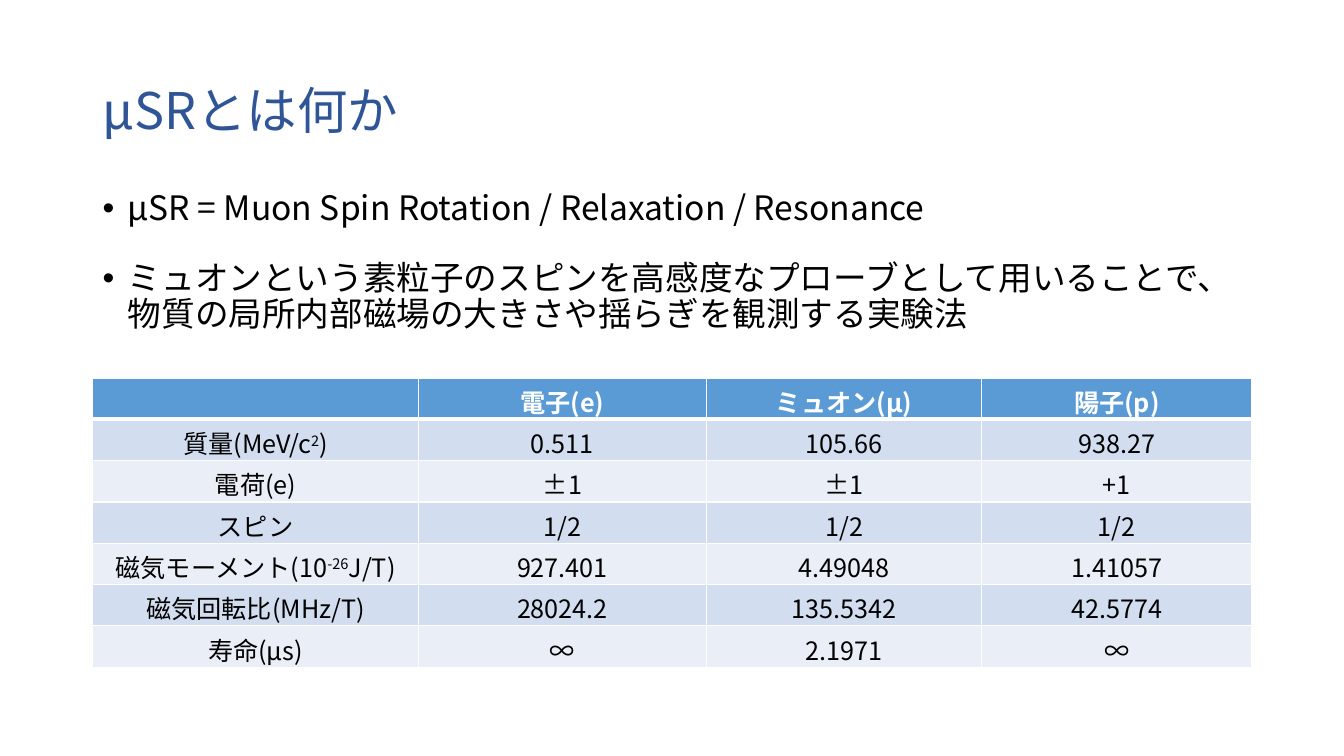
"""Build a slide that explains µSR and compares the electron, muon and proton."""
from lxml.etree import SubElement
from pptx import Presentation
from pptx.dml.color import RGBColor
from pptx.enum.text import MSO_ANCHOR as Anchor, PP_ALIGN as Align
from pptx.oxml import parse_xml
from pptx.oxml.ns import nsdecls, qn
from pptx.util import Inches, Pt

FONT = "Noto Sans CJK JP"
MARGIN, CONTENT_WIDTH = 0.92, 11.5
COLUMN_WIDTHS = [3.23, 2.86, 2.73, 2.68]
ROW_HEIGHT = 0.41


def color(hex_value):
    """Turn a hex string into a colour."""
    return RGBColor.from_string(hex_value)


def add_text(paragraph, text, size, hex_value, bold=False):
    """Add runs to a paragraph; parts between carets are superscript."""
    for index, part in enumerate(text.split("^")):
        run = paragraph.add_run()
        run.text = part
        run.font.size = Pt(size)
        run.font.name = FONT
        run.font.bold = bold
        run.font.color.rgb = color(hex_value)
        properties = run.font._element
        SubElement(properties, qn("a:ea"), typeface=FONT)
        if index % 2:
            properties.set("baseline", "30000")


presentation = Presentation()
presentation.slide_width = Inches(13.333)
presentation.slide_height = Inches(7.5)
slide = presentation.slides.add_slide(presentation.slide_layouts[6])

title_box = slide.shapes.add_textbox(
    Inches(MARGIN), Inches(0.4), Inches(CONTENT_WIDTH), Inches(1.45))
title_frame = title_box.text_frame
title_frame.word_wrap = True
title_frame.vertical_anchor = Anchor.MIDDLE
title_frame.paragraphs[0].line_spacing = 0.9
add_text(title_frame.paragraphs[0], "µSRとは何か", 36, "2F5597")

body_box = slide.shapes.add_textbox(
    Inches(MARGIN), Inches(1.85), Inches(CONTENT_WIDTH), Inches(4.99))
body_frame = body_box.text_frame
body_frame.word_wrap = True
bullets = [
    "µSR = Muon Spin Rotation / Relaxation / Resonance",
    "ミュオンという素粒子のスピンを高感度なプローブとして用いることで、"
    "物質の局所内部磁場の大きさや揺らぎを観測する実験法",
]
for index, text in enumerate(bullets):
    paragraph = body_frame.add_paragraph() if index else body_frame.paragraphs[0]
    paragraph.line_spacing = 0.9
    paragraph.space_before = Pt(24 if index else 0)
    properties = paragraph._p.get_or_add_pPr()
    properties.set("marL", str(Inches(0.25)))
    properties.set("indent", str(-Inches(0.25)))
    SubElement(properties, qn("a:buFont"), typeface="Arial")
    SubElement(properties, qn("a:buChar"), char="•")
    add_text(paragraph, text, 24, "000000")

particle_rows = [
    ["", "電子(e)", "ミュオン(µ)", "陽子(p)"],
    ["質量(MeV/c^2^)", "0.511", "105.66", "938.27"],
    ["電荷(e)", "±1", "±1", "+1"],
    ["スピン", "1/2", "1/2", "1/2"],
    ["磁気モーメント(10^-26^J/T)", "927.401", "4.49048", "1.41057"],
    ["磁気回転比(MHz/T)", "28024.2", "135.5342", "42.5774"],
    ["寿命(µs)", "∞", "2.1971", "∞"],
]
table = slide.shapes.add_table(
    len(particle_rows), len(COLUMN_WIDTHS), Inches(MARGIN), Inches(3.75),
    Inches(CONTENT_WIDTH), Inches(ROW_HEIGHT * len(particle_rows))).table
table.horz_banding = False
for column, width in zip(table.columns, COLUMN_WIDTHS):
    column.width = Inches(width)

for row_index, texts in enumerate(particle_rows):
    table.rows[row_index].height = Inches(ROW_HEIGHT)
    header = row_index == 0
    fill = "5B9BD5" if header else ["EAEFF7", "D2DEEF"][row_index % 2]
    border_widths = {"L": 1, "R": 1, "T": 3 if row_index == 1 else 1, "B": 3 if header else 1}
    for column_index, text in enumerate(texts):
        cell = table.cell(row_index, column_index)
        cell.fill.solid()
        cell.fill.fore_color.rgb = color(fill)
        for position, (side, width) in enumerate(border_widths.items()):
            cell._tc.get_or_add_tcPr().insert(position, parse_xml(
                f'<a:ln{side} {nsdecls("a")} w="{Pt(width)}"><a:solidFill>'
                f'<a:srgbClr val="FFFFFF"/></a:solidFill></a:ln{side}>'))
        paragraph = cell.text_frame.paragraphs[0]
        paragraph.alignment = Align.CENTER
        if text:
            add_text(paragraph, text, 18, "FFFFFF" if header else "000000", header)

presentation.save("out.pptx")
